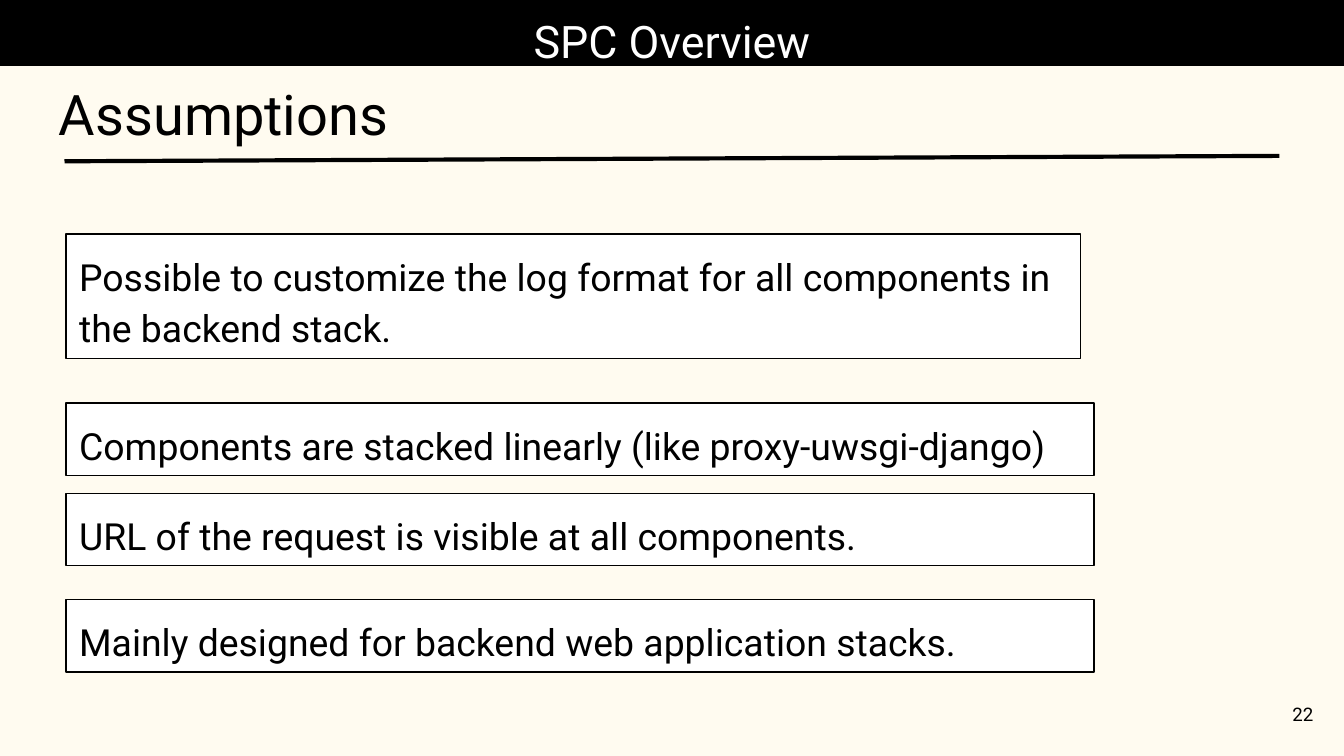
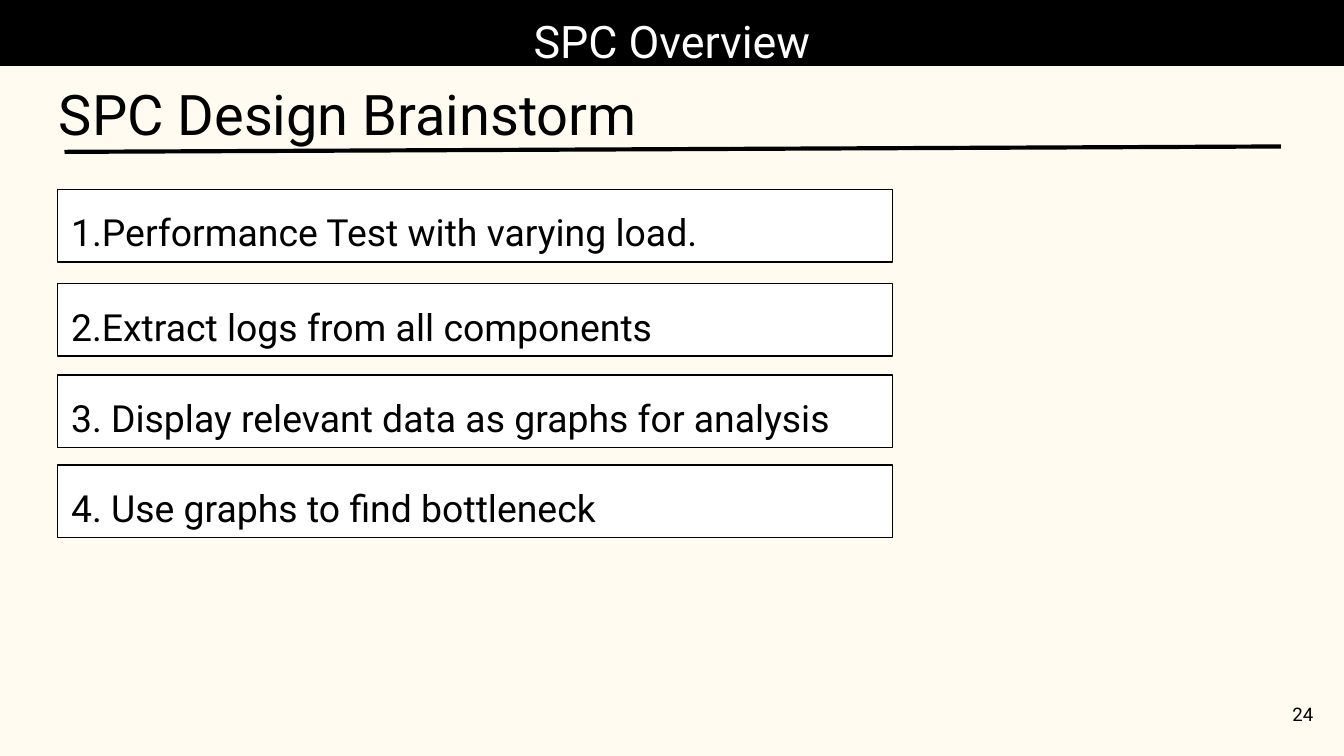
from lxml import etree
from pptx import Presentation
from pptx import util as u
from pptx.dml.color import RGBColor
from pptx.enum import shapes, text
from pptx.oxml.ns import qn

BLACK, WHITE, CREAM = "000000", "FFFFFF", "FFFBF0"
FONT = "Roboto"


def color(value):
    return RGBColor.from_string(value)


def write_text(shape, content, size, ink=BLACK, align=text.PP_ALIGN.LEFT,
               anchor=text.MSO_ANCHOR.TOP, line_spacing=None, space_after=0, grow=False):
    frame = shape.text_frame
    frame.word_wrap = True
    frame.auto_size = text.MSO_AUTO_SIZE.SHAPE_TO_FIT_TEXT if grow else text.MSO_AUTO_SIZE.NONE
    frame.vertical_anchor = anchor
    frame.margin_left = frame.margin_right = u.Inches(0.1)
    frame.margin_top = frame.margin_bottom = u.Inches(0.1)
    paragraph = frame.paragraphs[0]
    paragraph.alignment = align
    paragraph.line_spacing = line_spacing
    paragraph.space_after = u.Pt(space_after)
    run = paragraph.add_run()
    run.text = content
    run.font.name = FONT
    run.font.size = u.Pt(size)
    run.font.color.rgb = color(ink)


class Deck:
    def __init__(self):
        self.presentation = Presentation()
        self.presentation.slide_width = u.Inches(10)
        self.presentation.slide_height = u.Inches(10 * 9 / 16)
        self.slide = None

    def start_slide(self, title, number, rule_start, rule_end):
        self.slide = self.presentation.slides.add_slide(self.presentation.slide_layouts[6])
        background = self.slide.background.fill
        background.solid()
        background.fore_color.rgb = color(CREAM)
        band = self.rectangle(0, 0, 10, 0.49, BLACK)
        write_text(band, "SPC Overview", 24, ink=WHITE, align=text.PP_ALIGN.CENTER)
        self.label(title, 0.34, 0.49, 9.06, 0.67, size=30)
        self.rule(rule_start, rule_end)
        self.label(str(number), 9.27, 5.1, 0.6, 0.43, size=10,
                   align=text.PP_ALIGN.RIGHT, anchor=text.MSO_ANCHOR.MIDDLE)

    def rectangle(self, left, top, width, height, fill, outline=None):
        shape = self.slide.shapes.add_shape(
            shapes.MSO_SHAPE.RECTANGLE, *map(u.Inches, (left, top, width, height)))
        shape.shadow.inherit = False
        shape.fill.solid()
        shape.fill.fore_color.rgb = color(fill)
        if outline:
            shape.line.color.rgb = color(outline)
            shape.line.width = u.Pt(0.75)
        else:
            shape.line.fill.background()
        return shape

    def label(self, content, left, top, width, height, **style):
        box = self.slide.shapes.add_textbox(*map(u.Inches, (left, top, width, height)))
        write_text(box, content, **style)

    def rule(self, start, end):
        line = self.slide.shapes.add_connector(
            shapes.MSO_CONNECTOR.STRAIGHT, *map(u.Inches, start + end))
        line.line.color.rgb = color(BLACK)
        line.line.width = u.Pt(2.25)
        etree.SubElement(line._element.spPr, qn("a:effectLst"))

    def statement(self, content, left, top, width, height=0.54):
        box = self.rectangle(left, top, width, height, WHITE, outline=BLACK)
        write_text(box, content, 20, line_spacing=1.15, space_after=16, grow=True)


def add_assumptions(deck):
    deck.start_slide("Assumptions", 22, (0.48, 1.2), (9.52, 1.16))
    deck.statement("Possible to customize the log format for all components in the backend stack.",
                   0.49, 1.74, 7.55, 0.93)
    for top, assumption in (
        (3, "Components are stacked linearly (like proxy-uwsgi-django)"),
        (3.67, "URL of the request is visible at all components."),
        (4.46, "Mainly designed for backend web application stacks."),
    ):
        deck.statement(assumption, 0.49, top, 7.65)


def add_brainstorm(deck):
    deck.start_slide("SPC Design Brainstorm", 24, (0.48, 1.13), (9.53, 1.09))
    for top, step in (
        (1.41, "1.Performance Test with varying load."),
        (2.11, "2.Extract logs from all components"),
        (2.79, "3. Display relevant data as graphs for analysis"),
        (3.46, "4. Use graphs to find bottleneck"),
    ):
        deck.statement(step, 0.43, top, 6.21)


def main():
    deck = Deck()
    add_assumptions(deck)
    add_brainstorm(deck)
    deck.presentation.save("out.pptx")


if __name__ == "__main__":
    main()
